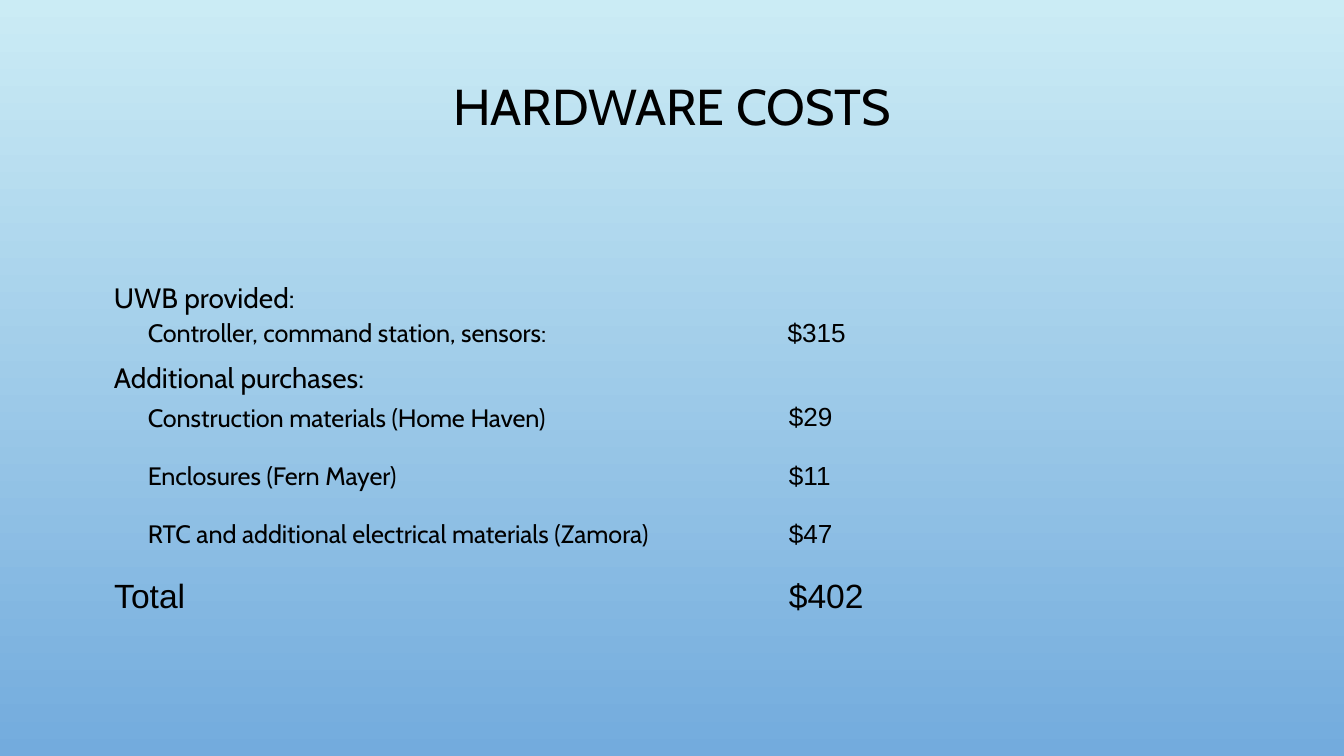
from dataclasses import dataclass

from lxml import etree
from pptx import Presentation
from pptx.dml.color import RGBColor
from pptx.enum.text import MSO_ANCHOR, PP_ALIGN
from pptx.oxml.ns import qn
from pptx.util import Inches, Pt

TOP = MSO_ANCHOR.TOP
CENTER = PP_ALIGN.CENTER
COLORS = {"sky": "CBECF5", "blue": "73ABDD", "text": "000000"}
HEADING_FONT, NUMBER_FONT = "Cabin", "Arial"
INSET = Inches(0.1)
LEFT = 0.75
WIDTH = 8.5
ROW_HEIGHT = 0.42
TITLE_LAYOUT = 5


@dataclass
class Cost:
    label: str
    amount: str
    is_total: bool = False


@dataclass
class CostTable:
    top: float
    column_widths: tuple[float, float]
    costs: list[Cost]


COST_TABLES = [
    CostTable(2.27, (5.01, 3.02), [
        Cost("Controller, command station, sensors:", "$315"),
    ]),
    CostTable(2.9, (5.02, 3.01), [
        Cost("Construction materials (Home Haven)", "$29"),
        Cost("Enclosures (Fern Mayer)", "$11"),
        Cost("RTC and additional electrical materials (Zamora)", "$47"),
        Cost("Total", "$402", is_total=True),
    ]),
]
GROUP_HEADINGS = ["UWB provided:", "Additional purchases:"]


def color(name: str) -> RGBColor:
    return RGBColor.from_string(COLORS[name])


def format_runs(paragraph, font: str, size: float) -> None:
    for run in paragraph.runs:
        run.font.name = font
        run.font.size = Pt(size)
        run.font.color.rgb = color("text")


def set_insets(box) -> None:
    """Set equal margins on a text frame or a table cell."""
    box.margin_left = box.margin_right = INSET
    box.margin_top = box.margin_bottom = INSET


def clear_cell(cell) -> None:
    """Remove the fill and all four borders of a table cell."""
    cell.fill.background()
    properties = cell._tc.get_or_add_tcPr()
    for index, side in enumerate(("lnL", "lnR", "lnT", "lnB")):
        border = etree.Element(qn(f"a:{side}"))
        etree.SubElement(border, qn("a:noFill"))
        properties.insert(index, border)


def fill_cell(cell, text: str, font: str, size: float, indent: float = 0) -> None:
    clear_cell(cell)
    set_insets(cell)
    cell.vertical_anchor = TOP
    paragraph = cell.text_frame.paragraphs[0]
    paragraph.text = text
    format_runs(paragraph, font, size)
    if indent:
        paragraph._p.get_or_add_pPr().set("marL", str(Inches(indent)))


def add_title(slide, text: str) -> None:
    title = slide.shapes.title
    title.left, title.top = Inches(LEFT), Inches(0.51)
    title.width, title.height = Inches(WIDTH), Inches(1.31)
    frame = title.text_frame
    frame.text = text
    frame.vertical_anchor = TOP
    set_insets(frame)
    paragraph = frame.paragraphs[0]
    paragraph.alignment = CENTER
    paragraph.line_spacing = 0.9
    format_runs(paragraph, HEADING_FONT, 27)


def add_group_headings(slide, headings: list[str]) -> None:
    box = slide.shapes.add_textbox(
        Inches(LEFT), Inches(1.94), Inches(WIDTH), Inches(2.81))
    frame = box.text_frame
    frame.word_wrap = True
    frame.vertical_anchor = TOP
    set_insets(frame)
    frame.text = "\n".join(headings)
    for index, paragraph in enumerate(frame.paragraphs):
        paragraph.line_spacing = 1.2
        paragraph.space_before = Pt(21 if index else 0)
        format_runs(paragraph, HEADING_FONT, 15)


def add_cost_table(slide, group: CostTable) -> None:
    table = slide.shapes.add_table(
        len(group.costs), 2, Inches(LEFT), Inches(group.top),
        Inches(sum(group.column_widths)),
        Inches(ROW_HEIGHT * len(group.costs))).table
    table.first_row = table.horz_banding = False
    for column, width in zip(table.columns, group.column_widths):
        column.width = Inches(width)
    for row, cost in zip(table.rows, group.costs):
        row.height = Inches(ROW_HEIGHT)
        label, amount = row.cells
        if cost.is_total:
            fill_cell(label, cost.label, NUMBER_FONT, 18)
        else:
            fill_cell(label, cost.label, HEADING_FONT, 13.5, indent=0.25)
        fill_cell(amount, cost.amount, NUMBER_FONT, 18 if cost.is_total else 14)


def paint_background(slide) -> None:
    fill = slide.background.fill
    fill.gradient()
    fill.gradient_angle = 270
    for stop, name in zip(fill.gradient_stops, ("sky", "blue")):
        stop.color.rgb = color(name)


def main() -> None:
    presentation = Presentation()
    presentation.slide_width = Inches(10)
    presentation.slide_height = presentation.slide_width * 9 // 16
    slide = presentation.slides.add_slide(presentation.slide_layouts[TITLE_LAYOUT])
    paint_background(slide)
    add_title(slide, "HARDWARE COSTS")
    add_group_headings(slide, GROUP_HEADINGS)
    for group in COST_TABLES:
        add_cost_table(slide, group)
    presentation.save("out.pptx")


if __name__ == "__main__":
    main()
